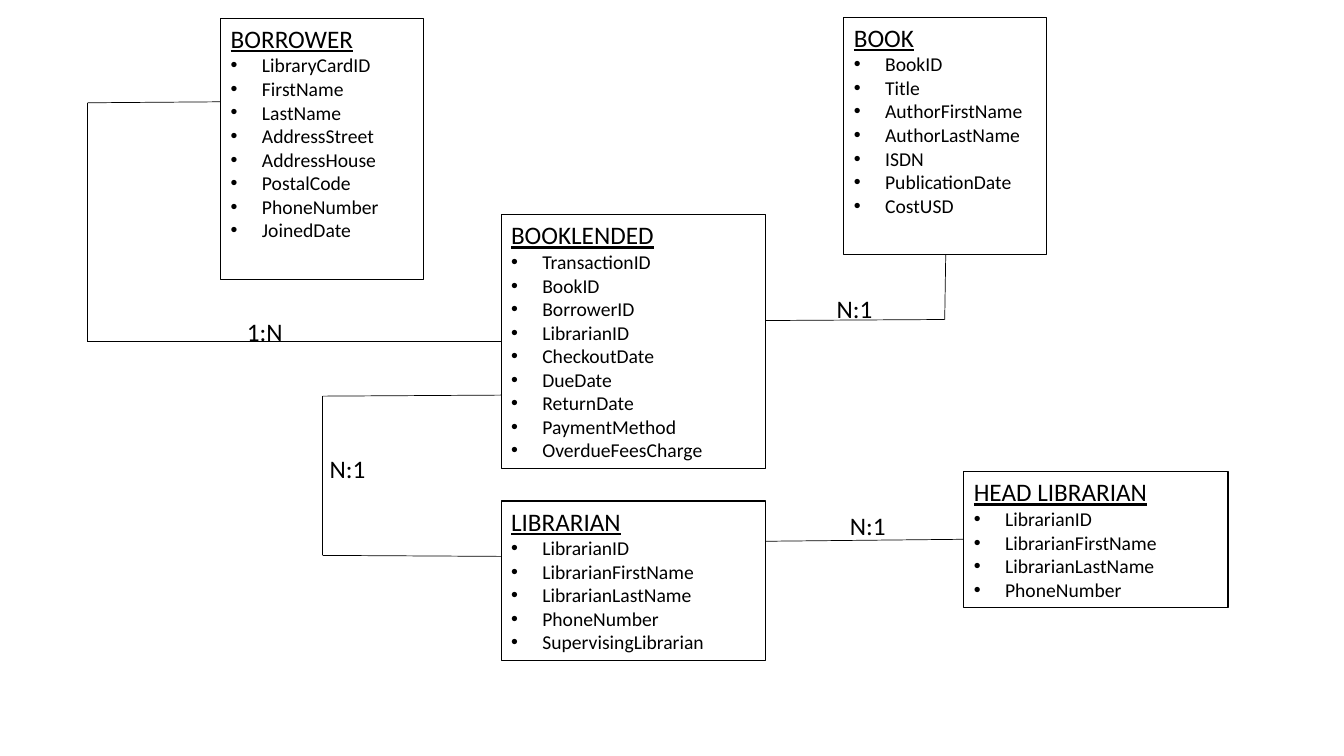
from itertools import pairwise

from lxml.etree import SubElement
from pptx import Presentation
from pptx.dml.color import RGBColor
from pptx.enum.shapes import MSO_CONNECTOR as Connector, MSO_SHAPE as Preset
from pptx.enum.text import MSO_ANCHOR as Anchor, PP_ALIGN as Align
from pptx.oxml.ns import qn
from pptx.util import Inches, Pt

BLACK = RGBColor(0x00, 0x00, 0x00)
FONT = "Calibri"
BULLET_INDENT = Inches(0.31)

ENTITIES = [
    ("BORROWER", (2.19, 0.18, 2.01, 2.59),
     ["LibraryCardID", "FirstName", "LastName", "AddressStreet", "AddressHouse",
      "PostalCode", "PhoneNumber", "JoinedDate"]),
    ("BOOK", (8.37, 0.17, 2.01, 2.36),
     ["BookID", "Title", "AuthorFirstName", "AuthorLastName", "ISDN",
      "PublicationDate", "CostUSD"]),
    ("BOOKLENDED", (4.97, 2.13, 2.62, 2.52),
     ["TransactionID", "BookID", "BorrowerID", "LibrarianID", "CheckoutDate",
      "DueDate", "ReturnDate", "PaymentMethod", "OverdueFeesCharge"]),
    ("LIBRARIAN", (4.97, 4.97, 2.62, 1.58),
     ["LibrarianID", "LibrarianFirstName", "LibrarianLastName", "PhoneNumber",
      "SupervisingLibrarian"]),
    ("HEAD LIBRARIAN", (9.56, 4.68, 2.62, 1.35),
     ["LibrarianID", "LibrarianFirstName", "LibrarianLastName", "PhoneNumber"]),
]

RELATIONS = [
    ("1:N", (2.35, 3.09), [(2.19, 1.01), (0.87, 1.02), (0.87, 3.39), (4.97, 3.39)]),
    ("N:1", (8.2, 2.86), [(9.38, 2.53), (9.37, 3.17), (7.59, 3.18)]),
    ("N:1", (3.17, 4.45), [(4.97, 3.92), (3.2, 3.93), (3.2, 5.51), (4.97, 5.52)]),
    ("N:1", (8.33, 5.01), [(9.56, 5.35), (7.59, 5.37)]),
]


def style_text(para, size, underline=False):
    """Left-align a paragraph and format its runs."""
    para.alignment = Align.LEFT
    for span in para.runs:
        span.font.name = FONT
        span.font.size = Pt(size)
        span.font.color.rgb = BLACK
        span.font.underline = underline


def add_bullet(para):
    """Give a paragraph a hanging round bullet."""
    props = para._p.get_or_add_pPr()
    props.set("marL", str(BULLET_INDENT))
    props.set("indent", str(-BULLET_INDENT))
    SubElement(props, qn("a:buFont")).set("typeface", "Arial")
    SubElement(props, qn("a:buChar")).set("char", "•")


def add_entity(page, title, box, attributes):
    """Draw an entity box with its underlined title and bulleted attributes."""
    shape = page.shapes.add_shape(Preset.RECTANGLE, *map(Inches, box))
    shape.shadow.inherit = False
    shape.fill.background()
    shape.line.color.rgb = BLACK
    shape.line.width = Pt(0.75)
    frame = shape.text_frame
    frame.word_wrap = True
    frame.vertical_anchor = Anchor.TOP
    frame.text = "\n".join([title, *attributes])
    heading, *items = frame.paragraphs
    style_text(heading, 18, underline=True)
    for para in items:
        style_text(para, 14)
        add_bullet(para)


def add_relation(page, cardinality, label_at, route):
    """Draw a relation along its route and label its cardinality."""
    for start, end in pairwise(route):
        line = page.shapes.add_connector(
            Connector.STRAIGHT, *map(Inches, (*start, *end)))
        line.line.color.rgb = BLACK
        line.line.width = Pt(0.5)
        SubElement(line._element.spPr, qn("a:effectLst"))
    label = page.shapes.add_textbox(*map(Inches, (*label_at, 1.42, 0.4)))
    label.text_frame.word_wrap = True
    label.text_frame.text = cardinality
    style_text(label.text_frame.paragraphs[0], 18)


def build_diagram(page):
    """Place all entities and relations of the library diagram."""
    for title, box, attributes in ENTITIES:
        add_entity(page, title, box, attributes)
    for cardinality, label_at, route in RELATIONS:
        add_relation(page, cardinality, label_at, route)


deck = Presentation()
deck.slide_width, deck.slide_height = Inches(13.33), Inches(7.5)
build_diagram(deck.slides.add_slide(deck.slide_layouts[6]))
deck.save("out.pptx")
